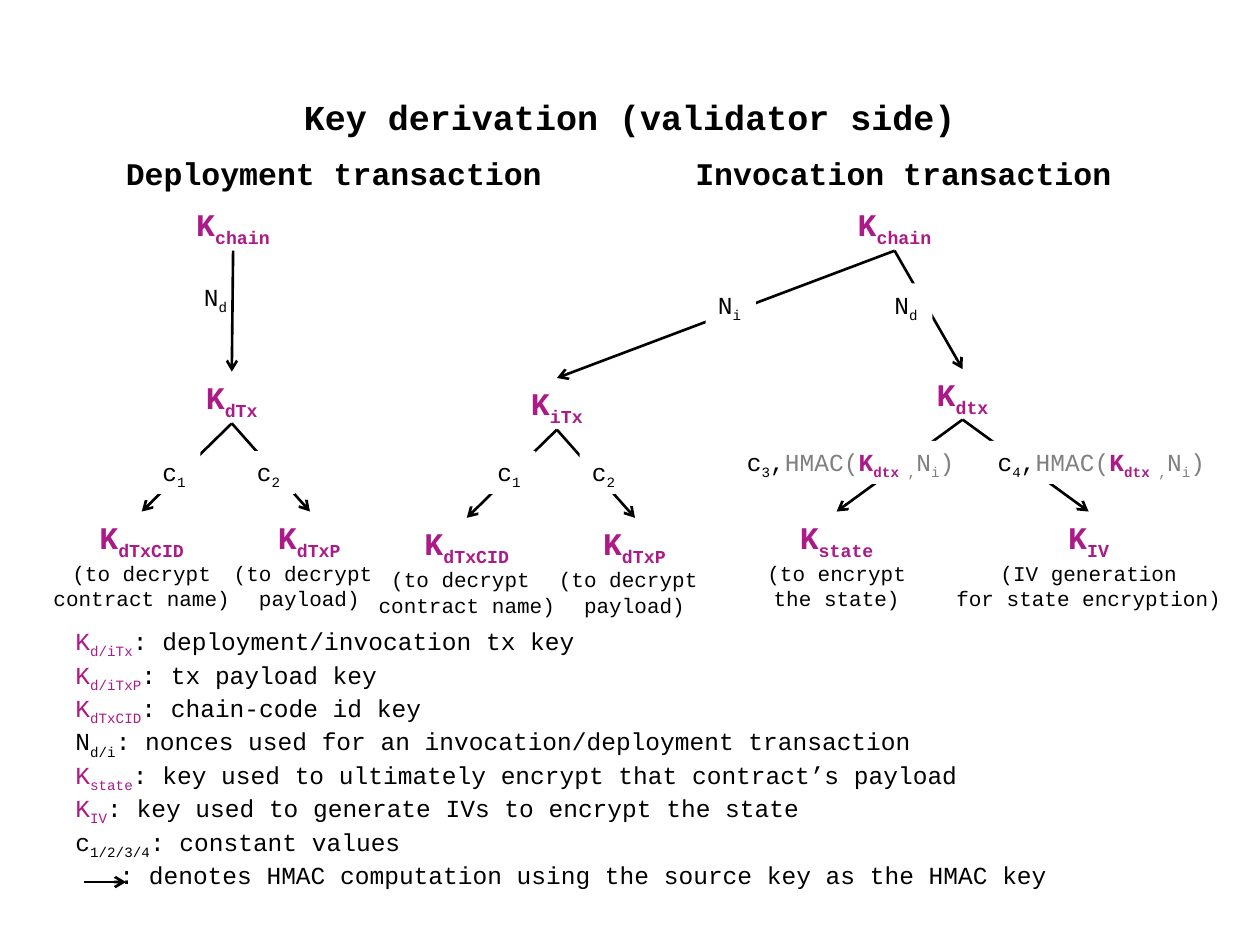
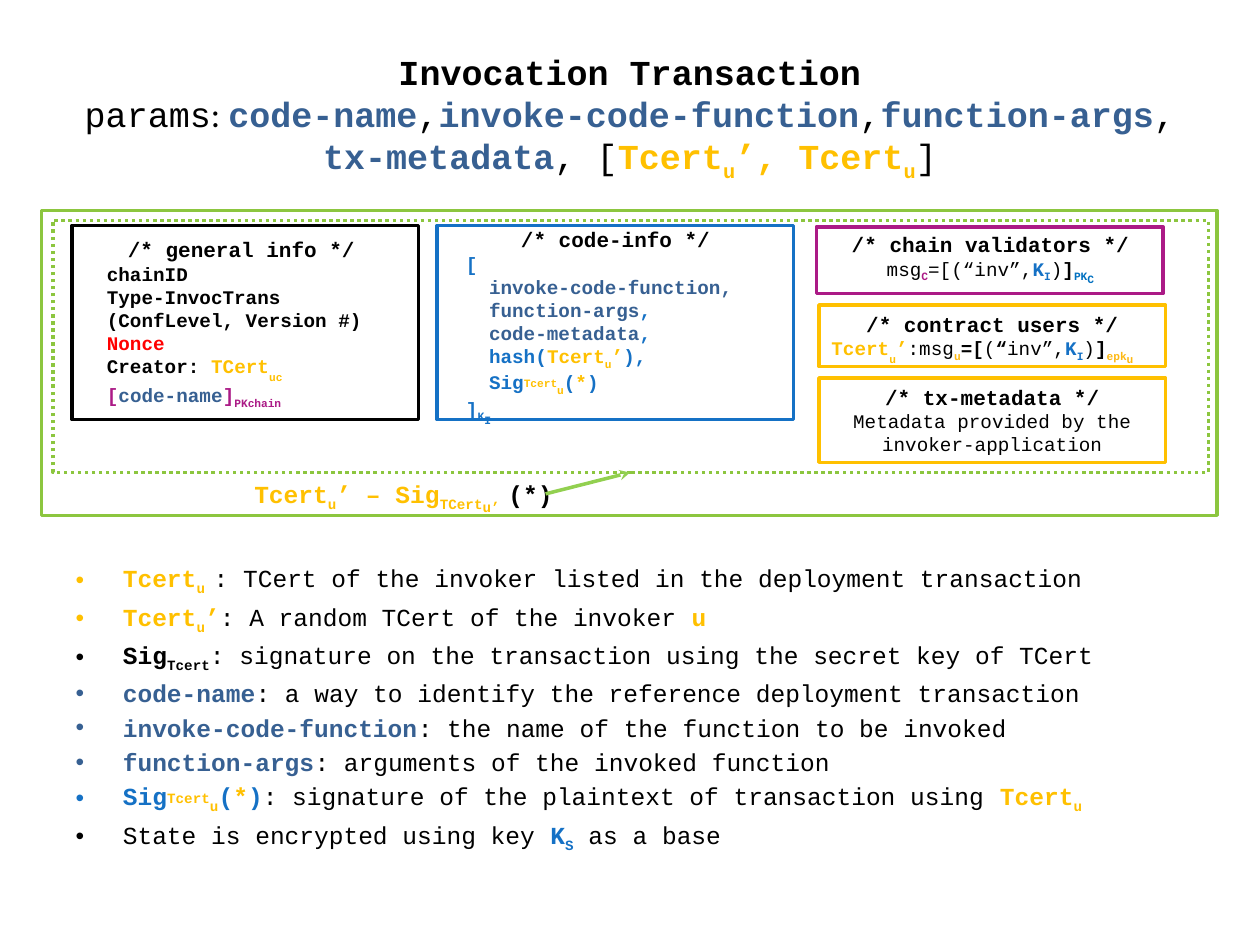
from collections import namedtuple

from lxml import etree
from pptx import Presentation
from pptx.dml.color import RGBColor
from pptx.enum.dml import MSO_LINE
from pptx.enum.shapes import MSO_CONNECTOR, MSO_SHAPE
from pptx.enum.text import MSO_ANCHOR, MSO_AUTO_SIZE, PP_ALIGN
from pptx.oxml.ns import qn
from pptx.util import Inches, Pt

LEFT, CENTER = PP_ALIGN.LEFT, PP_ALIGN.CENTER
TOP, MIDDLE = MSO_ANCHOR.TOP, MSO_ANCHOR.MIDDLE
GROW, FIXED = MSO_AUTO_SIZE.SHAPE_TO_FIT_TEXT, MSO_AUTO_SIZE.NONE
RECTANGLE, STRAIGHT = MSO_SHAPE.RECTANGLE, MSO_CONNECTOR.STRAIGHT
DOTTED = MSO_LINE.ROUND_DOT

BLACK = RGBColor(0x00, 0x00, 0x00)
WHITE = RGBColor(0xFF, 0xFF, 0xFF)
GRAY = RGBColor(0x80, 0x80, 0x80)
RED = RGBColor(0xFF, 0x00, 0x00)
MAGENTA = RGBColor(0xAB, 0x1A, 0x86)
NAVY = RGBColor(0x37, 0x60, 0x92)
BLUE = RGBColor(0x15, 0x71, 0xC5)
SKY = RGBColor(0x00, 0x70, 0xC0)
GOLD = RGBColor(0xFF, 0xC0, 0x00)
AMBER = RGBColor(0xFD, 0xB8, 0x13)
GREEN = RGBColor(0x8C, 0xC6, 0x3F)
LIME = RGBColor(0x92, 0xD0, 0x50)

MONO, SANS = "Courier New", "Calibri"
SUB, DEEP = -25, -40
COLUMNS, ROWS = 100, 75

Span = namedtuple("Span", "text color bold base font")
Line = namedtuple("Line", "spans size align indent", defaults=(14, LEFT, 0))


def plain(text, color=BLACK, base=0, font=MONO):
    """Return a regular span."""
    return Span(text, color, False, base, font)


def strong(text, color=BLACK, base=0):
    """Return a bold span."""
    return Span(text, color, True, base, MONO)


def symbol(letter, index, color=BLACK, style=plain):
    """Return a letter followed by its subscript."""
    return [style(letter, color), style(index, color, SUB)]


def key(name):
    """Return the line that names a derived key."""
    return Line(symbol("K", name, MAGENTA, strong), 18, CENTER)


def heading(text):
    """Return the comment line on top of a transaction part."""
    return Line([strong(f"/* {text} */")], 12, CENTER)


def code(*spans, indent=0):
    """Return a small line of transaction code."""
    return Line(spans, 11, LEFT, indent)


def tcert(index="u"):
    """Return the certificate symbol."""
    return symbol("Tcert", index, GOLD, strong)


def signature():
    """Return the signature expression over the transaction."""
    return [strong("Sig", BLUE), strong("Tcert", GOLD, 10), strong("u", GOLD, SUB),
            strong("(", BLUE), strong("*", GOLD), strong(")", BLUE)]


class Deck:
    """Hold the shared style and the current page."""

    def __init__(self):
        """Start an empty presentation."""
        self.show = Presentation()
        self.show.slide_width, self.show.slide_height = Inches(10), Inches(7.5)
        self.column = self.show.slide_width / COLUMNS
        self.row = self.show.slide_height / ROWS

    def cells(self, *numbers):
        """Turn alternating columns and rows into lengths."""
        return [round(number * (self.row if place % 2 else self.column))
                for place, number in enumerate(numbers)]

    def new_page(self, layout, title):
        """Add a page with its title."""
        self.page = self.show.slides.add_slide(self.show.slide_layouts[layout])
        self.place(self.page.shapes.title, (5, 3, 90, 12.5), title, MIDDLE)

    def place(self, holder, area, lines, anchor=TOP):
        """Move a placeholder and fill it."""
        holder.left, holder.top, holder.width, holder.height = self.cells(*area)
        self.set_lines(holder.text_frame, lines, anchor, FIXED)

    def set_lines(self, frame, lines, anchor=TOP, fit=GROW, wrap=True):
        """Fill a text frame span by span."""
        frame.word_wrap, frame.auto_size, frame.vertical_anchor = wrap, fit, anchor
        for number, line in enumerate(lines):
            para = frame.add_paragraph() if number else frame.paragraphs[0]
            para.alignment = line.align
            if line.indent:
                para._p.get_or_add_pPr().set("marL", str(self.cells(line.indent)[0]))
            for span in line.spans:
                if span is None:
                    para.add_line_break()
                    etree.SubElement(para._p[-1], qn("a:rPr"), sz=str(line.size * 100))
                else:
                    self.add_span(para, span, line.size)

    def add_span(self, para, span, size):
        """Add one formatted run."""
        run = para.add_run()
        run.text = span.text
        run.font.size, run.font.name, run.font.bold = Pt(size), span.font, span.bold
        run.font.color.rgb = span.color
        if span.base:
            run.font._element.set("baseline", str(span.base * 1000))

    def text(self, area, *lines, wrap=False):
        """Add a text box."""
        box = self.page.shapes.add_textbox(*self.cells(*area))
        self.set_lines(box.text_frame, lines, wrap=wrap)

    def box(self, area, *lines, fill=None, border=None, dash=None, wrap=True):
        """Add a rectangle, with or without text."""
        box = self.page.shapes.add_shape(RECTANGLE, *self.cells(*area))
        box.shadow.inherit = False
        if fill is None:
            box.fill.background()
        else:
            box.fill.solid()
            box.fill.fore_color.rgb = fill
        if border is None:
            box.line.fill.background()
        else:
            box.line.color.rgb = border
            box.line.width = Pt(2)
            box.line.dash_style = dash
        if lines:
            self.set_lines(box.text_frame, lines, wrap=wrap)

    def label(self, left, top, spans, width=4):
        """Add a white label that covers part of an arrow."""
        self.box((left, top, width, 3.4), Line(spans), fill=WHITE, wrap=False)

    def node(self, left, top, width, name, *notes, wrap=False):
        """Add a key with the notes below it."""
        lines = [Line([plain(note)], 12, CENTER) for note in notes]
        self.text((left, top, width, 8.1 if notes else 4), key(name), *lines, wrap=wrap)

    def arrow(self, start, end, color=BLACK, width=1.5, head="arrow"):
        """Add an arrow between two grid points."""
        arrow = self.page.shapes.add_connector(STRAIGHT, *self.cells(*start, *end))
        arrow.line.color.rgb, arrow.line.width = color, Pt(width)
        etree.SubElement(arrow.line._get_or_add_ln(), qn("a:tailEnd"), type=head)
        etree.SubElement(arrow._element.spPr, qn("a:effectLst"))


def build_key_derivation(deck):
    """Build the page on how keys are derived."""
    deck.new_page(5, [Line([strong("Key derivation (validator side)")], 20, CENTER)])
    for left, name in ((9, "Deployment"), (54.2, "Invocation")):
        deck.text((left, 11.7, 35.2, 4), Line([strong(f"{name} transaction")], 18))
    for left in (14.2, 66.7):
        deck.node(left, 15.8, 8.6, "chain")

    deck.arrow((18.5, 19.9), (18.4, 29.5))
    deck.text((15.2, 21.9, 4, 3.4), Line(symbol("N", "d")))
    deck.arrow((71, 19.9), (44.2, 30))
    deck.label(56, 22.5, symbol("N", "i"))
    deck.arrow((71, 19.9), (76.4, 29.3))
    deck.label(70, 22.5, symbol("N", "d"))

    trees = ((18.4, 29.5, "dTx", 11.9, "(to decrypt"),
             (44.2, 30, "iTx", 38.5, "(to decrypt "))
    for middle, top, name, label_left, note in trees:
        deck.node(middle - 3.3, top, 6.6, name)
        for shift in (-7.15, 6.2):
            deck.arrow((middle, top + 4.1), (middle + shift, top + 11.1))
        deck.node(middle - 15.3, top + 11.1, 16.3, "dTxCID", note, "contract name)")
        deck.node(middle - 0.95, top + 11.1, 14.2, "dTxP", "(to decrypt ", "payload)")
        for index in range(2):
            deck.label(label_left + 7.5 * index, 35.8, symbol("c", str(index + 1)))

    deck.node(73.1, 29.3, 6.6, "dtx")
    for number, end, left in ((3, 66.4, 58.3), (4, 86.4, 78.2)):
        deck.arrow((76.4, 33.3), (end, 40.6))
        spans = symbol("c", str(number)) + [plain(","), plain("HMAC(", GRAY)]
        spans += symbol("K", "dtx ", MAGENTA, strong) + [plain(",", GRAY, SUB)]
        spans += symbol("N", "i", GRAY) + [plain(")", GRAY)]
        deck.label(left, 35, spans, 19.3)
    deck.node(59.8, 40.6, 13.2, "state", "(to encrypt", "the state)")
    deck.node(74.2, 40.6, 24.4, "IV", "(IV generation", "for state encryption)", wrap=True)

    legend = (("K", "d/iTx", MAGENTA, "deployment/invocation tx key "),
              ("K", "d/iTxP", MAGENTA, "tx payload key "),
              ("K", "dTxCID", MAGENTA, "chain-code id key"),
              ("N", "d/i", BLACK, "nonces used for an invocation/deployment transaction "),
              ("K", "state", MAGENTA, "key used to ultimately encrypt that contract’s payload"),
              ("K", "IV", MAGENTA, "key used to generate IVs to encrypt the state"),
              ("c", "1/2/3/4", BLACK, "constant values"))
    lines = [Line(symbol(letter, index, color) + [plain(f": {meaning}")])
             for letter, index, color, meaning in legend]
    hmac = ": denotes HMAC computation using the source key as the HMAC key"
    deck.text((5, 49.2, 93, 19.9), *lines, Line([plain(hmac)], indent=3.5), wrap=True)
    deck.arrow((6.7, 70), (10, 70))


def build_invocation(deck):
    """Build the page on the invocation transaction."""
    title = [strong("Invocation Transaction"), None, plain("params"), plain(": ", font=SANS)]
    for name, gap in (("code-name", ","), ("invoke-code-function", ","),
                      ("function-args", ", "), ("tx-metadata", ", [")):
        title += [strong(name, NAVY), plain(gap)]
    title += tcert() + [strong("’", GOLD), strong(", ", GOLD)] + tcert() + [plain("]")]
    deck.new_page(1, [Line(title, 20, CENTER)])

    bullets = [
        tcert("u ") + [plain(": TCert of the invoker listed in the deployment transaction")],
        tcert() + [strong("’", GOLD), plain(": A random TCert of the invoker "),
                   strong("u", GOLD)],
        symbol("Sig", "Tcert", BLACK, strong)
        + [plain(": signature on the transaction using the secret key of TCert")]]
    bullets += [[strong(name, NAVY), plain(f": {meaning}")] for name, meaning in (
        ("code-name", "a way to identify the reference deployment transaction"),
        ("invoke-code-function", "the name of the function to be invoked"),
        ("function-args", "arguments of the invoked function"))]
    bullets += [
        signature() + [plain(": signature of the plaintext of transaction using ")]
        + tcert("u "),
        [plain("State is encrypted using key ")] + symbol("K", "S", BLUE, strong)
        + [plain(" as a base")]]
    deck.place(deck.page.placeholders[1], (5, 44.2, 90.8, 26.7),
               [Line(spans) for spans in bullets])

    deck.box((4.2, 17.5, 91.7, 20), border=GREEN, dash=DOTTED)
    deck.box((64.8, 18, 27.5, 5.3), border=MAGENTA)
    secret = symbol("K", "I", BLUE, strong) + [plain(")"), strong("]")]
    message = [plain("msg"), strong("C", MAGENTA, SUB), plain("=[(“inv”,")] + secret
    message += [strong("PK", SKY, SUB), strong("C", SKY, DEEP)]
    deck.text((64, 17.9, 29.2, 6.7), heading("chain validators"),
              Line(message, 11, CENTER), wrap=True)

    deck.box((34.7, 17.9, 28.3, 15.4), border=BLUE)
    fields = [[strong("invoke-code-function,", NAVY)]]
    fields += [[strong(name, NAVY), strong(",", BLUE)]
               for name in ("function-args", "code-metadata")]
    fields += [[strong("hash(", BLUE)] + tcert() + [strong("’", GOLD), strong("),", BLUE)],
               signature()]
    deck.text((36, 17.5, 25.7, 16), heading("code-info"), code(strong("[", BLUE)),
              *[code(*field, indent=1.83) for field in fields],
              code(strong("]", BLUE), strong("K", BLUE, SUB), strong("I", BLUE, -45)),
              wrap=True)

    facts = ("chainID ", "Type-InvocTrans", "(ConfLevel, Version #)")
    deck.text((7.5, 18.3, 23.3, 16), heading("general info"),
              *[code(strong(fact)) for fact in facts],
              code(strong("Nonce", RED)),
              code(strong("Creator: "), strong("TCert", GOLD), strong("uc", GOLD, DEEP)),
              code(strong("[", MAGENTA), strong("code-name", NAVY),
                   *symbol("]", "PKchain", MAGENTA, strong)),
              wrap=True)
    deck.box((5.7, 17.9, 27.5, 15.4), border=BLACK)

    deck.box((3.3, 16.7, 93.3, 24.2), border=GREEN)
    deck.text((19.2, 37.5, 30, 3.4),
              Line(tcert() + symbol("’ – Sig", "TCert", GOLD, strong)
                   + [strong("u’ ", GOLD, DEEP), strong("(*)")]), wrap=True)
    deck.arrow((43.3, 39.2), (50, 37.5), LIME, 2, "stealth")

    user = [strong("Tcert", GOLD), strong("u", GOLD, DEEP), strong("’", GOLD),
            plain(":msg"), strong("u", AMBER, SUB), strong("=["), plain("("),
            strong("“"), plain("inv”,")]
    user += secret + [strong("epk", AMBER, SUB), strong("u", AMBER, DEEP)]
    deck.box((65, 24.2, 27.5, 4.9), heading("contract users"), code(*user), border=GOLD)
    note = "Metadata provided by the invoker-application"
    deck.box((65, 30, 27.5, 6.7), heading("tx-metadata"),
             Line([plain(note)], 11, CENTER), border=GOLD)


deck = Deck()
build_key_derivation(deck)
build_invocation(deck)
deck.show.save("out.pptx")
